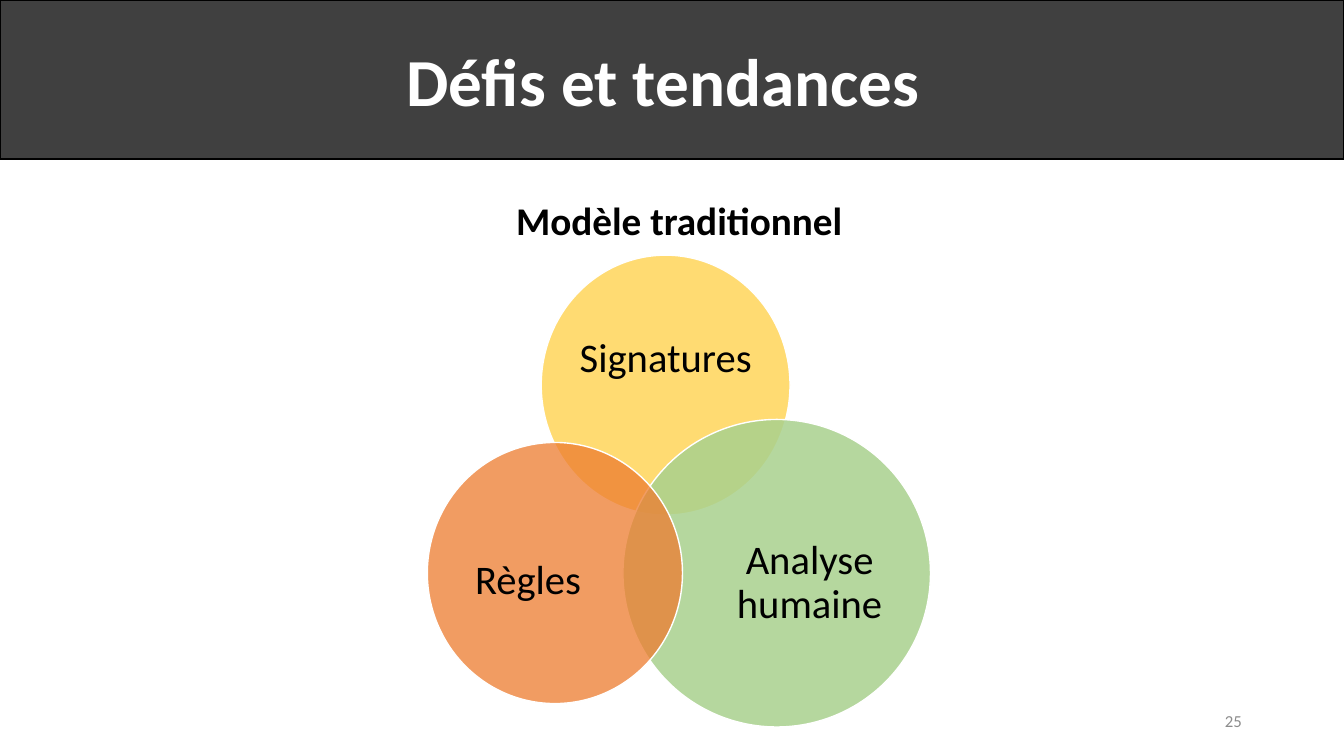
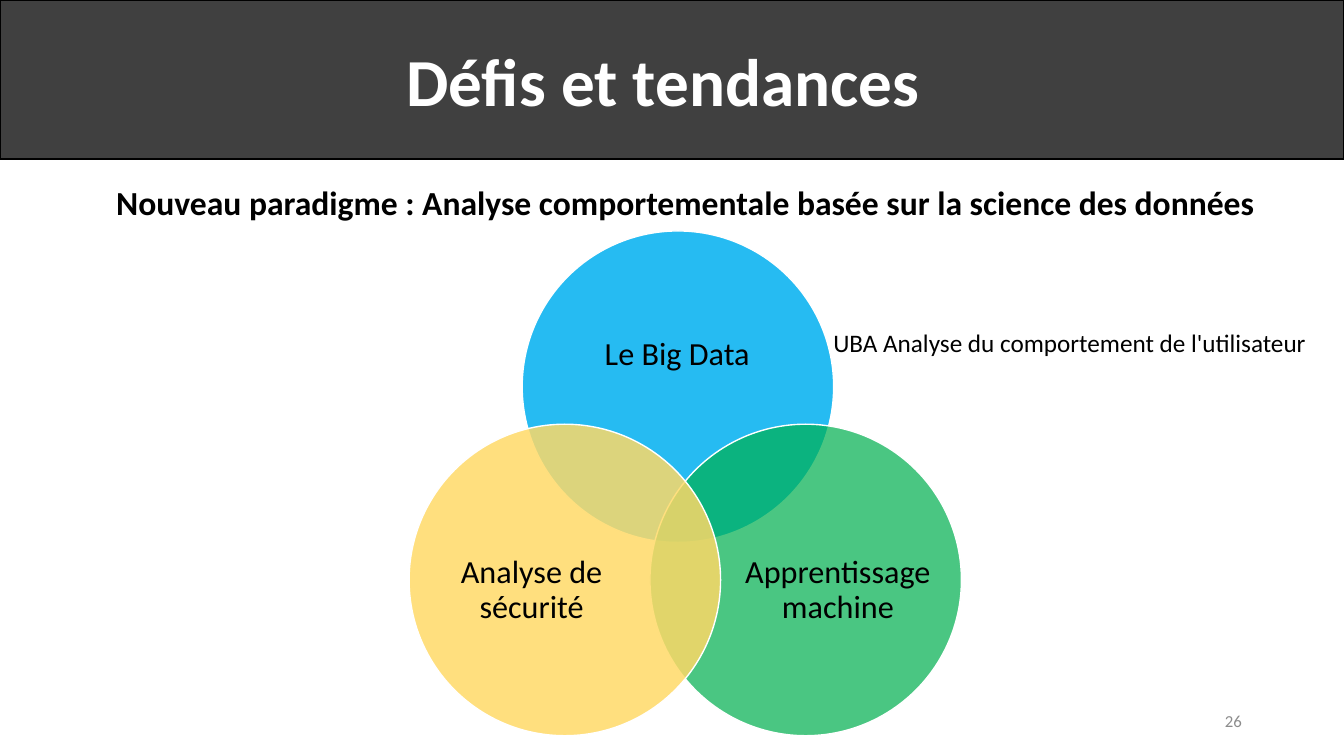
"""Build two slides that compare security analysis models as Venn diagrams."""

import dataclasses

import lxml.etree
import pptx
import pptx.dml.color
import pptx.enum.shapes
import pptx.enum.text
import pptx.oxml.ns
import pptx.shapes.autoshape
import pptx.slide
import pptx.util

Cm = pptx.util.Cm
RGBColor = pptx.dml.color.RGBColor
Align = pptx.enum.text.PP_ALIGN
Anchor = pptx.enum.text.MSO_ANCHOR
Preset = pptx.enum.shapes.MSO_SHAPE

FONT = "Calibri"
BLACK = RGBColor(0x00, 0x00, 0x00)
WHITE = RGBColor(0xFF, 0xFF, 0xFF)
CHARCOAL = RGBColor(0x40, 0x40, 0x40)
GREY = RGBColor(0x8C, 0x8C, 0x8C)
YELLOW = RGBColor(0xFF, 0xD9, 0x66)
LIGHT_GREEN = RGBColor(0xA9, 0xD1, 0x8E)
ORANGE = RGBColor(0xED, 0x7D, 0x31)
BLUE = RGBColor(0x00, 0xB0, 0xF0)
GREEN = RGBColor(0x00, 0xB0, 0x50)

SLIDE_WIDTH = Cm(33.87)
SLIDE_HEIGHT = Cm(19.05)
TITLE = "Défis et tendances"


@dataclasses.dataclass(frozen=True)
class Area:
    left: float
    top: float
    width: float
    height: float

    def lengths(self) -> tuple[Cm, Cm, Cm, Cm]:
        return Cm(self.left), Cm(self.top), Cm(self.width), Cm(self.height)


@dataclasses.dataclass(frozen=True)
class Circle:
    text: str
    area: Area
    label: Area
    color: RGBColor
    opacity: int


@dataclasses.dataclass(frozen=True)
class Note:
    text: str
    area: Area
    size: int
    bold: bool = False
    align: Align = Align.CENTER


@dataclasses.dataclass(frozen=True)
class Venn:
    number: int
    label_size: int
    circles: tuple[Circle, ...]
    notes: tuple[Note, ...]


BAND = Area(0, 0, 33.87, 4.01)
NUMBER = Area(23.93, 17.65, 7.62, 1.02)
DIAMETER = 7.85
LOWER_TOP = 10.69

VENNS = (
    Venn(
        25,
        29,
        (
            Circle("Signatures", Area(13.64, 6.43, 6.27, 6.55),
                   Area(14.48, 7.57, 4.6, 2.95), YELLOW, 92),
            Circle("Analyse humaine", Area(15.7, 10.57, 7.75, 7.75),
                   Area(18.08, 12.57, 4.65, 4.27), LIGHT_GREEN, 85),
            Circle("Règles", Area(10.77, 11.15, 6.43, 6.58),
                   Area(11.38, 12.85, 3.86, 3.61), ORANGE, 76),
        ),
        (Note("Modèle traditionnel", Area(11.58, 4.83, 11.07, 1.45), 28, True),),
    ),
    Venn(
        26,
        23,
        (
            Circle("Le Big Data", Area(13.16, 5.82, DIAMETER, DIAMETER),
                   Area(14.2, 7.19, 5.74, 3.53), BLUE, 85),
            Circle("Apprentissage machine", Area(16.38, LOWER_TOP, DIAMETER, DIAMETER),
                   Area(18.67, 12.73, 4.9, 4.32), GREEN, 71),
            Circle("Analyse de sécurité", Area(10.31, LOWER_TOP, DIAMETER, DIAMETER),
                   Area(10.95, 12.73, 4.9, 4.32), YELLOW, 84),
        ),
        (
            Note("Nouveau paradigme : Analyse comportementale basée sur la science des données",
                 Area(0.69, 4.45, 33.17, 1.27), 24, True),
            Note("UBA Analyse du comportement de l'utilisateur",
                 Area(20.75, 8.13, 13.1, 1.8), 18, align=Align.JUSTIFY),
        ),
    ),
)


def write_text(
    box: pptx.shapes.autoshape.Shape,
    text: str,
    *,
    size: int,
    color: RGBColor = BLACK,
    bold: bool = False,
    align: Align = Align.CENTER,
    anchor: Anchor = Anchor.MIDDLE,
    line_spacing: float = 1.0,
    inset: float | None = None,
) -> None:
    frame = box.text_frame
    frame.word_wrap = True
    frame.vertical_anchor = anchor
    if inset is not None:
        frame.margin_left = frame.margin_right = Cm(inset)
        frame.margin_top = frame.margin_bottom = Cm(inset)
    para = frame.paragraphs[0]
    para.alignment = align
    para.line_spacing = line_spacing
    span = para.add_run()
    span.text = text
    span.font.name = FONT
    span.font.size = pptx.util.Pt(size)
    span.font.bold = bold
    span.font.color.rgb = color


def add_filled(
    shapes, preset: Preset, area: Area, fill: RGBColor, line: RGBColor, opacity: int = 100
) -> pptx.shapes.autoshape.Shape:
    shape = shapes.add_shape(preset, *area.lengths())
    shape.shadow.inherit = False
    shape.fill.solid()
    shape.fill.fore_color.rgb = fill
    shape.line.color.rgb = line
    shape.line.width = pptx.util.Pt(1)
    if opacity < 100:
        qualified = pptx.oxml.ns.qn
        tint = shape.fill._xPr.find(qualified("a:solidFill")).find(qualified("a:srgbClr"))
        lxml.etree.SubElement(tint, qualified("a:alpha"), val=str(opacity * 1000))
    return shape


def add_frame(page: pptx.slide.Slide, number: int) -> None:
    band = add_filled(page.shapes, Preset.RECTANGLE, BAND, CHARCOAL, BLACK)
    write_text(band, TITLE, size=48, color=WHITE, bold=True)
    band.text_frame.margin_right = Cm(0.71)
    box = page.shapes.add_textbox(*NUMBER.lengths())
    write_text(box, str(number), size=12, color=GREY, align=Align.RIGHT)


def add_venn(page: pptx.slide.Slide, venn: Venn) -> None:
    group = page.shapes.add_group_shape()
    for circle in venn.circles:
        add_filled(group.shapes, Preset.OVAL, circle.area, circle.color, WHITE, circle.opacity)
        label = group.shapes.add_textbox(*circle.label.lengths())
        write_text(label, circle.text, size=venn.label_size, line_spacing=0.9, inset=0)
    for note in venn.notes:
        box = page.shapes.add_textbox(*note.area.lengths())
        write_text(box, note.text, size=note.size, bold=note.bold,
                   align=note.align, anchor=Anchor.TOP)


def main() -> None:
    deck = pptx.Presentation()
    deck.slide_width = SLIDE_WIDTH
    deck.slide_height = SLIDE_HEIGHT
    blank = deck.slide_layouts[6]
    for venn in VENNS:
        page = deck.slides.add_slide(blank)
        add_frame(page, venn.number)
        add_venn(page, venn)
    deck.save("out.pptx")


if __name__ == "__main__":
    main()
